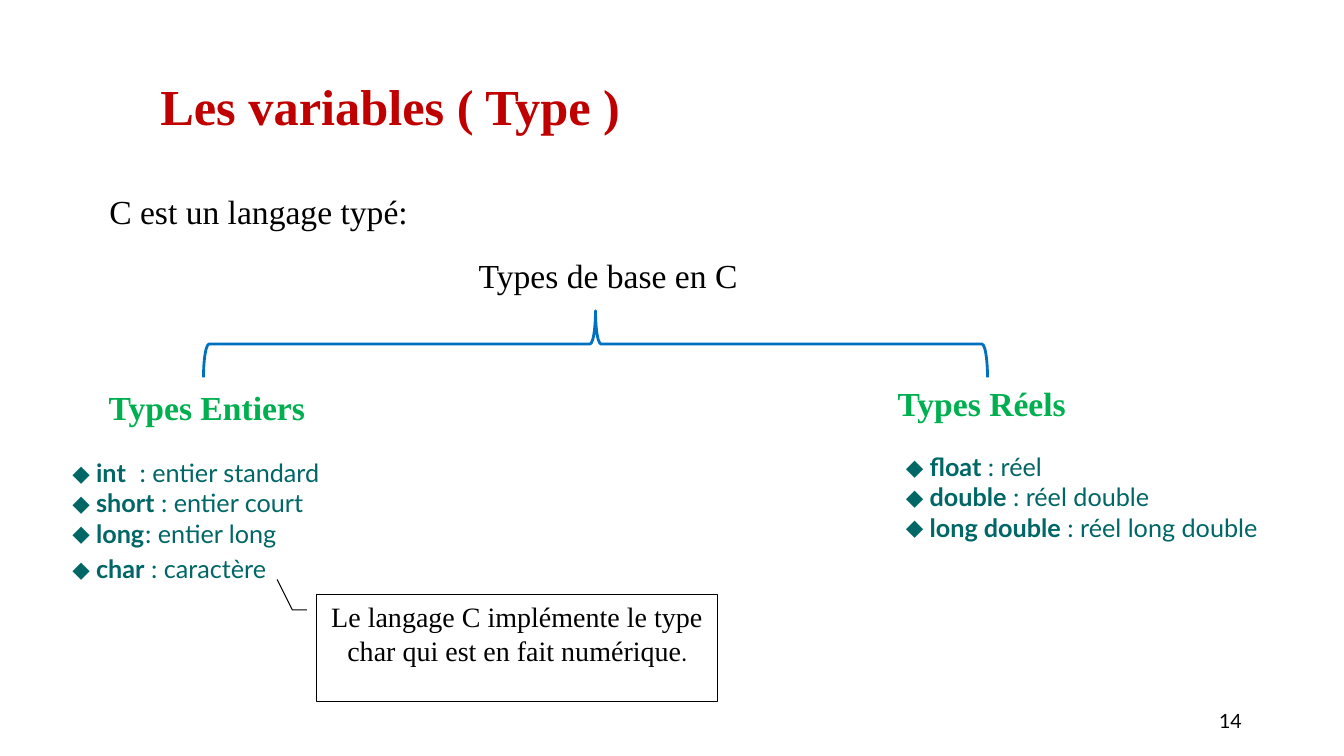
from lxml import etree
from pptx import Presentation
from pptx import util as u
from pptx.dml.color import RGBColor
from pptx.enum import shapes, text
from pptx.oxml.ns import qn

Pt = u.Pt
SERIF, SANS = "Times New Roman", "Lato"
BLACK, WHITE, RED, GREEN, TEAL, BLUE = (
    "000000", "FFFFFF", "C00000", "00B050", "006666", "0070C0")
HEADING = {"name": SERIF, "size": Pt(24), "color": BLACK}
BRANCH = HEADING | {"color": GREEN, "bold": True}
ITEM = {"name": SANS, "size": Pt(18), "color": TEAL}


def rgb(value):
    return RGBColor.from_string(value)


def apply_format(font, values):
    for key, value in values.items():
        if key == "color":
            font.color.rgb = rgb(value)
        else:
            setattr(font, key, value)


def add_span(para, words, values):
    span = para.add_run()
    span.text = words
    apply_format(span.font, values)


def add_box(page, area, wrap=True):
    box = page.shapes.add_textbox(*map(Pt, area))
    box.text_frame.word_wrap = wrap
    return box.text_frame


def add_label(page, area, words, values, spacing=1.0, align=None, wrap=True):
    frame = add_box(page, area, wrap)
    para = frame.paragraphs[0]
    para.line_spacing = spacing
    para.alignment = align
    add_span(para, words, values)
    return frame


def add_bullet(para, indent, tab):
    props = para._p.get_or_add_pPr()
    props.set("marL", str(Pt(indent)))
    props.set("indent", "0")
    etree.SubElement(props, qn("a:buFont"), typeface=SANS)
    etree.SubElement(props, qn("a:buChar"), char="⬥")
    if tab:
        stops = etree.SubElement(props, qn("a:tabLst"))
        etree.SubElement(stops, qn("a:tab"), pos=str(Pt(tab)), algn="l")


def add_type_list(page, area, indent, items):
    """Each item is a keyword, its meaning and an optional tab stop."""
    frame = add_box(page, area)
    for index, (keyword, meaning, tab) in enumerate(items):
        para = frame.add_paragraph() if index else frame.paragraphs[0]
        add_bullet(para, indent, tab)
        add_span(para, f" {keyword}", ITEM | {"bold": True})
        add_span(para, f"{chr(9) if tab else ' '}: {meaning}", ITEM)


def add_title(page, area):
    title = page.shapes.title
    title.left, title.top, title.width, title.height = map(Pt, area)
    title.text_frame.vertical_anchor = text.MSO_ANCHOR.MIDDLE
    para = title.text_frame.paragraphs[0]
    para.alignment = text.PP_ALIGN.LEFT
    para.line_spacing = 0.9
    add_span(para, "Les variables ( Type )",
             {"name": SERIF, "size": Pt(36), "bold": True, "color": RED})


def add_brace(page, area):
    """Fills the area with a brace that points up."""
    left, top, width, height = area
    shift = (width - height) / 2
    brace = page.shapes.add_shape(
        shapes.MSO_SHAPE.RIGHT_BRACE, Pt(left + shift), Pt(top - shift),
        Pt(height), Pt(width))
    brace.rotation = 270
    brace.shadow.inherit = False
    brace.fill.background()
    brace.line.color.rgb = rgb(BLUE)
    brace.line.width = Pt(2)


def add_callout(page, area):
    note = page.shapes.add_shape(shapes.MSO_SHAPE.LINE_CALLOUT_2, *map(Pt, area))
    for index, value in enumerate((0.143, -0.024, 0.143, -0.06, -0.143, -0.098)):
        note.adjustments[index] = value
    note.shadow.inherit = False
    note.fill.solid()
    note.fill.fore_color.rgb = rgb(WHITE)
    note.line.color.rgb = rgb(BLACK)
    note.line.width = Pt(0.75)
    frame = note.text_frame
    frame.word_wrap = True
    frame.vertical_anchor = text.MSO_ANCHOR.TOP
    para = frame.paragraphs[0]
    para.alignment = text.PP_ALIGN.CENTER
    add_span(para, "Le langage C implémente le type char qui est en fait numérique",
             {"name": SERIF, "size": Pt(20), "color": BLACK})
    add_span(para, ".", {"name": SANS, "size": Pt(16), "color": BLACK})


def add_integer_types(page, left, top):
    add_label(page, (left + 54, top, 200, 36), "Types Entiers", BRANCH)
    add_type_list(page, (left, top + 50.4, 258, 72), 28, [
        ("int", "entier standard", 76),
        ("short", "entier court", None),
        ("long", "entier long", 80)])
    add_type_list(page, (left, top + 118.8, 258, 29), 28,
                  [("char", "caractère", None)])


def add_real_types(page, left, top):
    add_label(page, (left + 22, top, 192, 42), "Types Réels", BRANCH, 0.9)
    add_type_list(page, (left, top + 46, 344, 73), 28, [
        ("float", "réel", None),
        ("double", "réel double", None),
        ("long double", "réel long double", None)])


def main():
    deck = Presentation()
    deck.slide_width, deck.slide_height = Pt(960), Pt(540)
    page = deck.slides.add_slide(deck.slide_layouts[5])

    # Title and introduction
    add_title(page, (107.3, 51, 636, 54))
    add_label(page, (71, 138.2, 230, 30), "C est un langage typé:",
              HEADING, 0.8, wrap=False)

    # Root of the tree and its brace
    add_label(page, (334.8, 184.3, 201, 30), "Types de base en C",
              HEADING, 0.8, wrap=False)
    add_brace(page, (145.4, 222, 560, 47.5))

    # Branches
    add_integer_types(page, 16.6, 272.9)
    add_real_types(page, 612, 272.9)

    # Note on char
    add_callout(page, (226, 424.8, 286.6, 76.3))

    # Page number
    number = add_label(page, (678.2, 500.4, 216, 28.8), "14",
                       {"name": SANS, "size": Pt(14), "color": BLACK},
                       align=text.PP_ALIGN.RIGHT)
    number.vertical_anchor = text.MSO_ANCHOR.MIDDLE

    deck.save("out.pptx")


if __name__ == "__main__":
    main()
